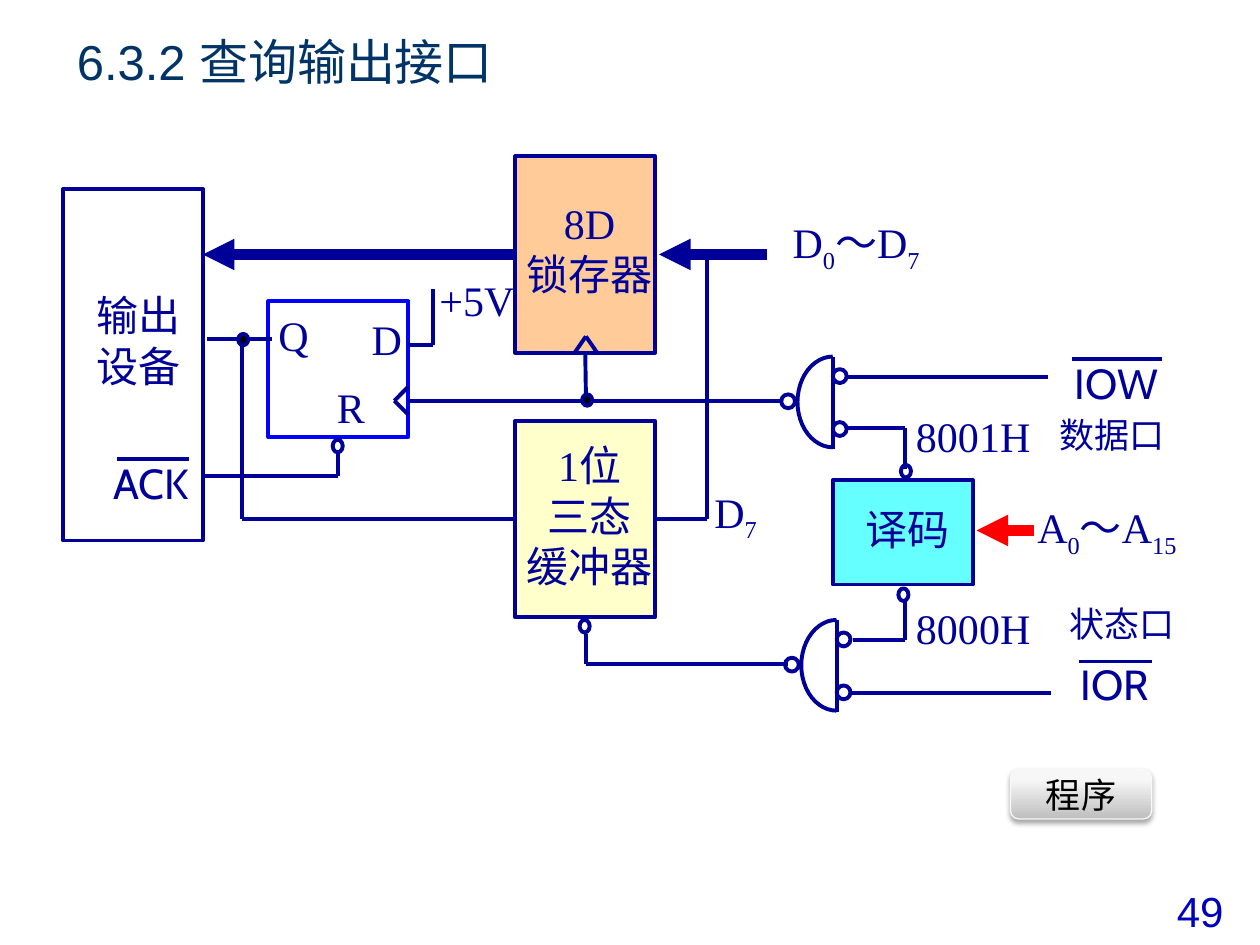
from itertools import pairwise

from lxml import etree
from pptx import Presentation
from pptx.dml.color import RGBColor
from pptx.enum.shapes import MSO_CONNECTOR, MSO_SHAPE
from pptx.enum.text import MSO_ANCHOR, PP_ALIGN
from pptx.oxml import parse_xml
from pptx.oxml.ns import nsdecls, qn
from pptx.util import Inches, Pt

STRAIGHT = MSO_CONNECTOR.STRAIGHT
RECTANGLE, OVAL, ARC = MSO_SHAPE.RECTANGLE, MSO_SHAPE.OVAL, MSO_SHAPE.ARC
ROUNDED = MSO_SHAPE.ROUNDED_RECTANGLE
LEFT, CENTER, RIGHT = PP_ALIGN.LEFT, PP_ALIGN.CENTER, PP_ALIGN.RIGHT
TOP, MIDDLE = MSO_ANCHOR.TOP, MSO_ANCHOR.MIDDLE
SIDE_LEFT, SIDE_BOTTOM, SIDE_RIGHT = 1, 2, 3

COLORS = {
    "ink": "000099", "title": "003366", "number": "0000BF", "flipflop": "0000FF",
    "latch": "FFCC99", "buffer": "FFFFCC", "decoder": "66FFFF", "address": "FF0000",
    "black": "000000", "button_dark": "BEBEBE", "button_light": "F7F7F7",
    "button_edge": "F9F9F9",
}
SERIF, SANS, SIGNAL = "Times New Roman", "Arial", "Cabin"


def rgb(name):
    return RGBColor.from_string(COLORS[name])


def add_run(paragraph, text, size=24, font=SERIF, color="ink", subscript=False):
    run = paragraph.add_run()
    run.text = text
    run.font.size = Pt(size)
    run.font.name = font
    run.font.color.rgb = rgb(color)
    if subscript:
        run.font._element.set("baseline", "-25000")


def add_label(slide, box, lines, align=CENTER, anchor=TOP, inset=0.01, wrap=True, **style):
    frame = slide.shapes.add_textbox(*map(Inches, box)).text_frame
    frame.word_wrap = wrap
    frame.vertical_anchor = anchor
    if inset is not None:
        frame.margin_left = frame.margin_right = Inches(inset)
        frame.margin_top = frame.margin_bottom = Inches(inset)
    for index, line in enumerate(lines):
        paragraph = frame.add_paragraph() if index else frame.paragraphs[0]
        paragraph.alignment = align
        for part, text in enumerate(line.split("_")):
            add_run(paragraph, text, subscript=part % 2 == 1, **style)


def add_outline(slide, kind, box, fill=None, line="ink"):
    shape = slide.shapes.add_shape(kind, *map(Inches, box))
    shape.shadow.inherit = False
    if fill:
        shape.fill.solid()
        shape.fill.fore_color.rgb = rgb(fill)
    else:
        shape.fill.background()
    shape.line.color.rgb = rgb(line)
    shape.line.width = Pt(2.25)
    return shape


def add_segment(slide, start, end, color="ink", width=2.25):
    segment = slide.shapes.add_connector(STRAIGHT, *map(Inches, (*start, *end)))
    segment.line.color.rgb = rgb(color)
    segment.line.width = Pt(width)
    etree.SubElement(segment._element.spPr, qn("a:effectLst"))
    return segment


def add_wire(slide, *points):
    return [add_segment(slide, start, end) for start, end in pairwise(points)]


def add_bus(slide, start, end, color="ink"):
    bus = add_segment(slide, start, end, color, 6)
    head = etree.SubElement(bus.line._get_or_add_ln(), qn("a:tailEnd"))
    head.set("type", "triangle")
    return bus


def add_gate(slide, x, y):
    curve = add_outline(slide, ARC, (x - 0.28, y, 0.56, 0.72))
    curve.adjustments[0] = 54
    curve.adjustments[1] = 162
    add_wire(slide, (x, y), (x, y + 0.73))
    for dx, dy in ((-0.41, 0.3), (0, 0.1), (0, 0.52)):
        add_outline(slide, OVAL, (x + dx, y + dy, 0.11, 0.11))


def add_active_low(slide, text, box, bar):
    add_label(slide, box, [text], LEFT, inset=None, wrap=False, font=SIGNAL)
    left, right, y = bar
    add_wire(slide, (left, y), (right, y))


def add_button(slide):
    button = add_outline(slide, ROUNDED, (8.02, 6.11, 1.12, 0.39), line="button_edge")
    button.line.width = Pt(0.75)
    button.fill.gradient()
    button.fill.gradient_angle = 90
    for stop, color, position in zip(
        button.fill.gradient_stops, ("button_dark", "button_light"), (0, 0.8)
    ):
        stop.color.rgb = rgb(color)
        stop.position = position
    effects = button._element.spPr.find(qn("a:effectLst"))
    effects.append(parse_xml(
        f'<a:outerShdw {nsdecls("a")} blurRad="{Pt(3.1)}" dist="{Pt(1.8)}" dir="5400000">'
        '<a:srgbClr val="000000"><a:alpha val="35000"/></a:srgbClr></a:outerShdw>'
    ))
    frame = button.text_frame
    frame.word_wrap = False
    frame.vertical_anchor = MIDDLE
    frame.paragraphs[0].alignment = CENTER
    add_run(frame.paragraphs[0], "程序", 20, SANS, "black")


def add_title(slide):
    title = slide.shapes.title
    title.left, title.top, title.width, title.height = map(Inches, (0.51, 0.21, 8.43, 0.55))
    title.text_frame.vertical_anchor = MIDDLE
    paragraph = title.text_frame.paragraphs[0]
    paragraph.alignment = LEFT
    add_run(paragraph, "6.3.2 查询输出接口", 28, SANS, "title")


def add_blocks(slide):
    latch = add_outline(slide, RECTANGLE, (4.09, 1.24, 1.11, 1.56), "latch")
    buffer = add_outline(slide, RECTANGLE, (4.09, 3.34, 1.11, 1.56), "buffer")
    add_outline(slide, RECTANGLE, (6.61, 3.81, 1.11, 0.83), "decoder")
    add_outline(slide, RECTANGLE, (2.13, 2.39, 1.11, 1.08), line="flipflop")
    add_outline(slide, RECTANGLE, (0.5, 1.5, 1.11, 2.79))
    return latch, buffer


def add_wiring(slide, latch, buffer):
    for points in (
        ((4.65, 5.03), (4.65, 5.27), (6.25, 5.27)),
        ((6.74, 5.5), (8.34, 5.5)),
        ((6.77, 5.08), (7.18, 5.08), (7.18, 4.77)),
        ((6.72, 2.99), (8.32, 2.99)),
        ((6.72, 3.4), (7.18, 3.4), (7.18, 3.72)),
        ((3.24, 3.18), (6.21, 3.18)),
        ((3.24, 3.29), (3.13, 3.18), (3.24, 3.07)),
        ((3.24, 2.74), (3.44, 2.74), (3.44, 2.29)),
        ((1.61, 3.78), (2.68, 3.78), (2.68, 3.59)),
        ((1.64, 2.69), (2.16, 2.69)),
        ((4.56, 2.8), (4.65, 2.67), (4.74, 2.8)),
    ):
        add_wire(slide, *points)
    clock = add_wire(slide, (4.65, 3.13), (4.65, 2.8))
    clock[-1].end_connect(latch, SIDE_BOTTOM)
    status = add_wire(slide, (1.92, 2.73), (1.92, 4.12), (4.09, 4.12))
    status[-1].end_connect(buffer, SIDE_LEFT)
    data = add_wire(slide, (5.61, 2.04), (5.61, 4.12), (5.2, 4.12))
    data[-1].end_connect(buffer, SIDE_RIGHT)

    for x, y in ((7.13, 4.67), (7.15, 3.69), (4.6, 4.92), (2.64, 3.49)):
        add_outline(slide, OVAL, (x, y, 0.08, 0.1))
    add_gate(slide, 6.61, 2.83)
    add_gate(slide, 6.64, 4.92)

    add_bus(slide, (6.09, 2.02), (5.23, 2.02))
    add_bus(slide, (4.09, 2.02), (1.61, 2.02)).begin_connect(latch, SIDE_LEFT)
    add_bus(slide, (8.21, 4.21), (7.75, 4.21), "address")
    for x, y in ((1.89, 2.65), (4.62, 3.13)):
        add_outline(slide, OVAL, (x, y, 0.08, 0.09), "black")


def add_labels(slide):
    for box, lines, align in (
        ((4.01, 1.56, 1.34, 1.27), ["8D", "锁存器"], CENTER),
        ((6.53, 3.99, 1.34, 0.57), ["译码"], CENTER),
        ((0.43, 2.29, 1.34, 1.55), ["输出", "设备"], CENTER),
        ((2.59, 3.02, 0.39, 0.48), ["R"], CENTER),
        ((2.2, 2.45, 0.54, 0.48), ["Q"], LEFT),
        ((2.66, 2.48, 0.54, 0.48), ["D"], RIGHT),
        ((3.37, 2.17, 0.83, 0.57), ["+5V"], CENTER),
        ((8.09, 3.97, 1.39, 0.69), ["A_0_～A_15"], CENTER),
        ((6.2, 1.71, 1.19, 0.72), ["D_0_～D_7"], CENTER),
        ((5.66, 3.85, 0.54, 0.75), ["D_7"], LEFT),
        ((7.26, 4.77, 1.19, 0.48), ["8000H"], LEFT),
        ((7.26, 3.25, 1.19, 0.48), ["8001H"], LEFT),
    ):
        add_label(slide, box, lines, align)
    add_label(slide, (4.01, 3.31, 1.34, 1.56), ["1位", "三态", "缓冲器"], anchor=MIDDLE)
    for x, y, port in ((8.31, 3.23, "数据口"), (8.39, 4.73, "状态口")):
        add_label(slide, (x, y, 1.18, 0.43), [port], LEFT, inset=None, size=20, font=SANS)
    add_active_low(slide, "ACK", (0.8, 3.58, 0.8, 0.51), (0.93, 1.5, 3.64))
    add_active_low(slide, "IOW", (8.43, 2.79, 0.87, 0.51), (8.51, 9.22, 2.85))
    add_active_low(slide, "IOR", (8.48, 5.18, 0.78, 0.51), (8.56, 9.14, 5.25))
    add_label(slide, (9.17, 6.98, 0.71, 0.5), ["49"], inset=None, font=SANS, color="number")


def main():
    deck = Presentation()
    deck.slide_width, deck.slide_height = Inches(10), Inches(7.5)
    slide = deck.slides.add_slide(deck.slide_layouts[5])
    add_title(slide)
    latch, buffer = add_blocks(slide)
    add_wiring(slide, latch, buffer)
    add_labels(slide)
    add_button(slide)
    deck.save("out.pptx")


if __name__ == "__main__":
    main()
